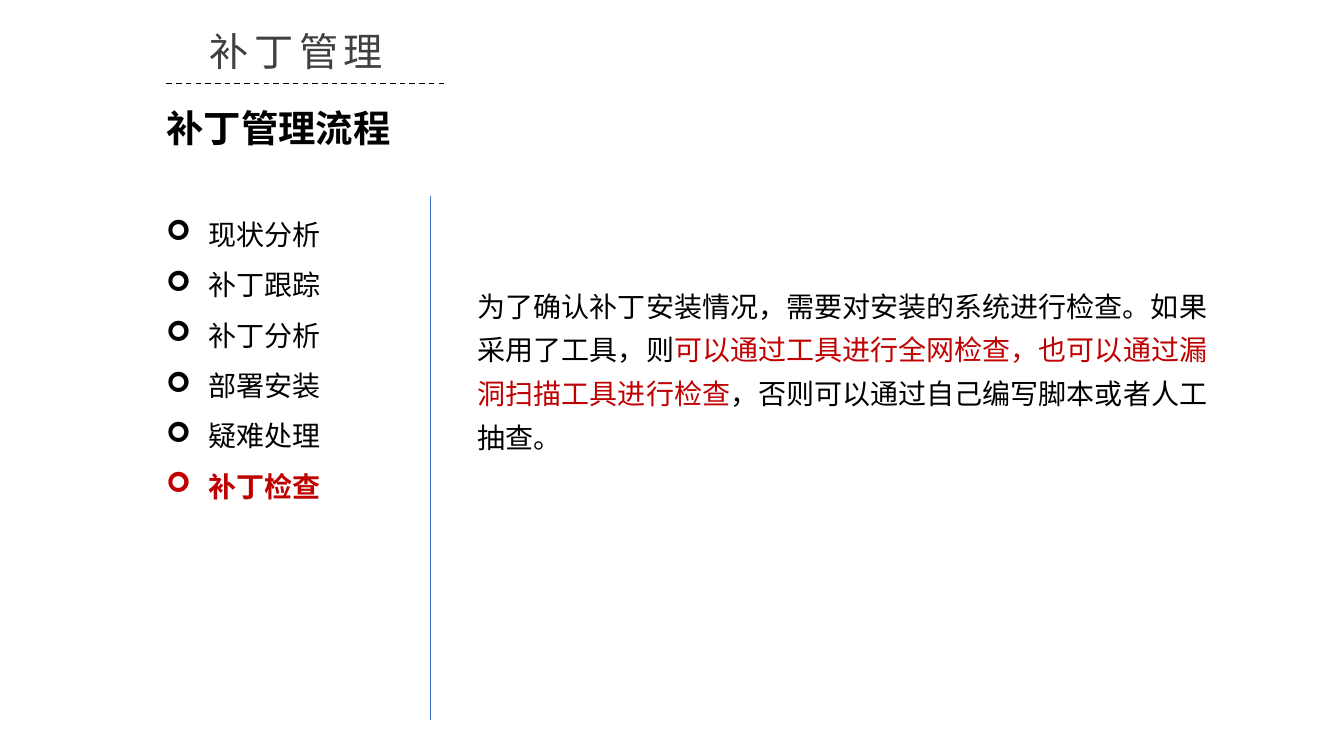
from dataclasses import dataclass

from lxml.etree import SubElement
from pptx import Presentation
from pptx.dml.color import RGBColor
from pptx.enum.dml import MSO_LINE
from pptx.enum.shapes import MSO_CONNECTOR
from pptx.enum.text import PP_ALIGN
from pptx.oxml.ns import qn
from pptx.util import Inches, Pt


@dataclass(frozen=True)
class Theme:
    ink: str = "000000"
    title: str = "404040"
    accent: str = "C00000"
    divider: str = "4472C4"
    title_font: str = "Noto Sans CJK SC"
    body_font: str = "Calibri"
    title_size: float = 28
    heading_size: float = 26.7
    body_size: float = 20


THEME = Theme()
STEPS = ["现状分析", "补丁跟踪", "补丁分析", "部署安装", "疑难处理", "补丁检查"]
CURRENT_STEP = "补丁检查"
DETAIL = [
    ("为了确认补丁安装情况，需要对安装的系统进行检查。如果采用了工具，则", THEME.ink),
    ("可以通过工具进行全网检查，也可以通过漏洞扫描工具进行检查", THEME.accent),
    ("，否则可以通过自己编写脚本或者人工抽查。", THEME.ink),
]


def add_text_frame(s, x, y, w, h):
    tf = s.shapes.add_textbox(Inches(x), Inches(y), Inches(w), Inches(h)).text_frame
    tf.word_wrap = True
    return tf


def add_run(p, text, size, color=THEME.ink, font=THEME.body_font, bold=False):
    r = p.add_run()
    r.text = text
    r.font.size = Pt(size)
    r.font.bold = bold
    r.font.name = font
    r.font.color.rgb = RGBColor.from_string(color)
    SubElement(r.font._element, qn("a:ea")).set("typeface", font)
    return r


def add_line(s, x1, y1, x2, y2, color, width):
    line = s.shapes.add_connector(
        MSO_CONNECTOR.STRAIGHT, Inches(x1), Inches(y1), Inches(x2), Inches(y2))
    line.line.color.rgb = RGBColor.from_string(color)
    line.line.width = Pt(width)
    SubElement(line._element.spPr, qn("a:effectLst"))
    return line


def add_bullet(p, indent):
    pPr = p._p.get_or_add_pPr()
    pPr.set("marL", str(Inches(indent)))
    pPr.set("indent", str(-Inches(indent)))
    SubElement(pPr, qn("a:buFont")).set("typeface", "Wingdings")
    SubElement(pPr, qn("a:buChar")).set("char", "➢")


def title_region(s, x, y, w, h):
    p = add_text_frame(s, x, y, w, h).paragraphs[0]
    p.alignment = PP_ALIGN.CENTER
    r = add_run(p, "补丁管理", THEME.title_size, THEME.title, THEME.title_font)
    r.font._element.set("spc", "400")
    # Dashed rule under the title
    rule_y = y + h + 0.04
    rule = add_line(s, x + 0.21, rule_y, x + w, rule_y, THEME.ink, 1)
    rule.line.dash_style = MSO_LINE.DASH


def heading_region(s, x, y, w, h):
    p = add_text_frame(s, x, y, w, h).paragraphs[0]
    add_run(p, "补丁管理流程", THEME.heading_size, bold=True)


def steps_region(s, x, y, w, h):
    tf = add_text_frame(s, x, y, w, h)
    for i, step in enumerate(STEPS):
        p = tf.paragraphs[0] if i == 0 else tf.add_paragraph()
        p.line_spacing = 1.5
        add_bullet(p, 0.42)
        current = step == CURRENT_STEP
        add_run(p, step, THEME.body_size,
                THEME.accent if current else THEME.ink, bold=current)


def detail_region(s, x, y, w, h):
    p = add_text_frame(s, x, y, w, h).paragraphs[0]
    p.line_spacing = 1.3
    for text, color in DETAIL:
        add_run(p, text, THEME.body_size, color)


def main():
    prs = Presentation()
    prs.slide_width, prs.slide_height = Inches(13.33), Inches(7.5)
    s = prs.slides.add_slide(prs.slide_layouts[6])

    # Title and heading
    title_region(s, 1.44, 0.22, 3, 0.57)
    heading_region(s, 1.55, 0.99, 2.79, 0.55)

    # Process steps, divider and the current step's detail
    steps_region(s, 1.55, 1.94, 2.36, 3.08)
    add_line(s, 4.27, 1.94, 4.27, 7.14, THEME.divider, 0.5)
    detail_region(s, 4.64, 2.72, 7.5, 1.81)

    prs.save("out.pptx")


if __name__ == "__main__":
    main()
